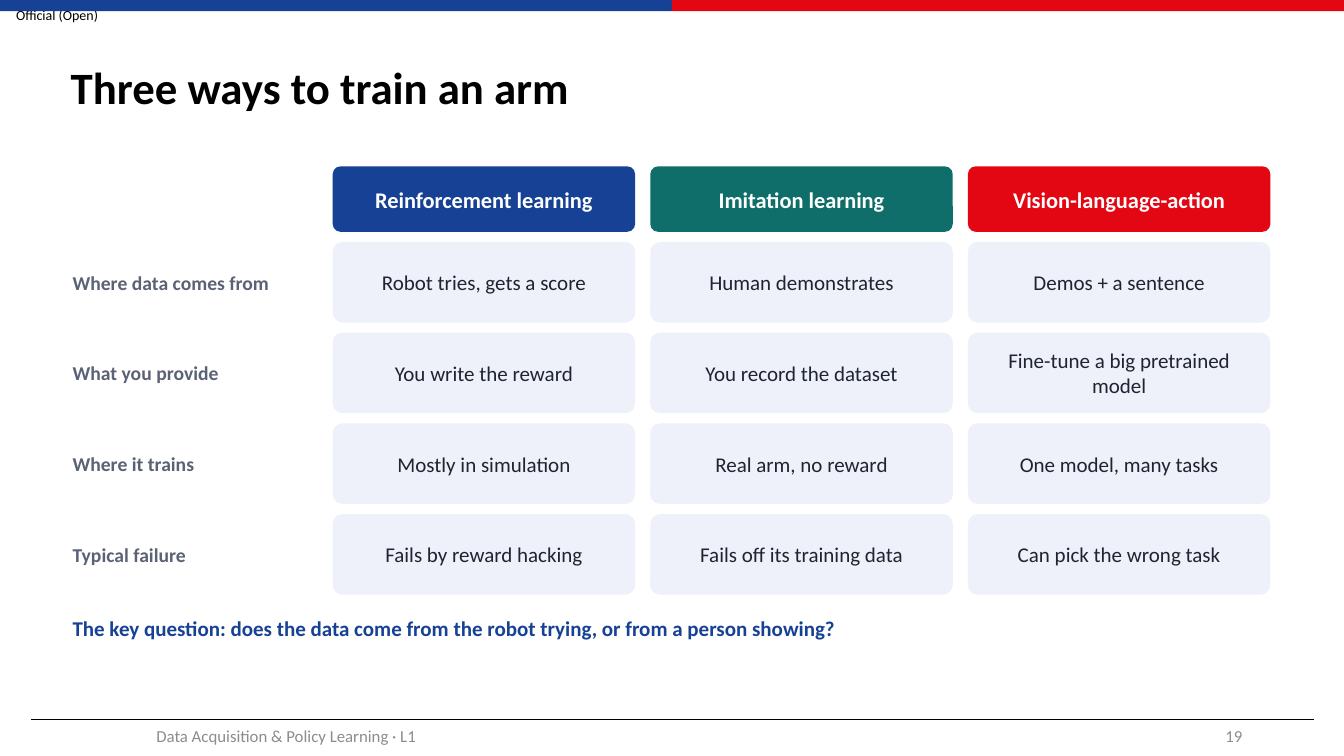
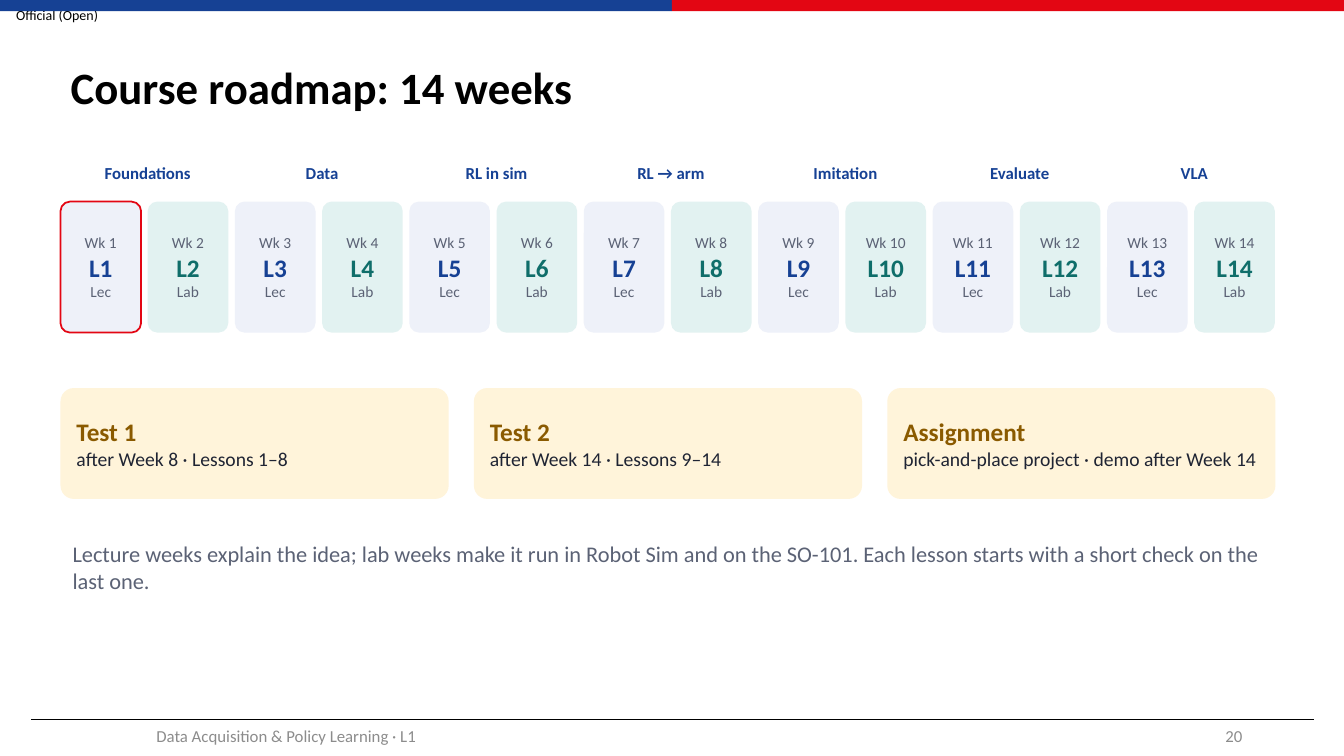
from lxml import etree
from pptx import Presentation
from pptx.dml.color import RGBColor
from pptx.enum.shapes import MSO_CONNECTOR, MSO_SHAPE
from pptx.enum.text import MSO_ANCHOR, MSO_AUTO_SIZE, PP_ALIGN
from pptx.oxml.ns import qn
from pptx.util import Inches, Pt

LEFT, MID, RIGHT = PP_ALIGN.LEFT, PP_ALIGN.CENTER, PP_ALIGN.RIGHT
TOP, CENTER = MSO_ANCHOR.TOP, MSO_ANCHOR.MIDDLE
RECT, ROUND = MSO_SHAPE.RECTANGLE, MSO_SHAPE.ROUNDED_RECTANGLE
STRAIGHT = MSO_CONNECTOR.STRAIGHT

# Shared look
FONT = "Calibri"
BLUE, RED, TEAL, GOLD = "164194", "E30613", "0F6E6A", "8A5A00"
INK, SLATE, GRAY, BLACK, WHITE = "1F2433", "5B6275", "8C8C8C", "000000", "FFFFFF"
PALE, MINT, CREAM = "EEF1F9", "E2F2F1", "FFF4DA"
WIDE, HIGH, EDGE = 13.33, 7.5, 0.6
INSET = (0.12, 0.06)

# Comparison: heading, colour, cells from top to bottom
ROWS = ["Where data comes from", "What you provide", "Where it trains",
        "Typical failure"]
WAYS = [
    ("Reinforcement learning", BLUE,
     ["Robot tries, gets a score", "You write the reward",
      "Mostly in simulation", "Fails by reward hacking"]),
    ("Imitation learning", TEAL,
     ["Human demonstrates", "You record the dataset",
      "Real arm, no reward", "Fails off its training data"]),
    ("Vision-language-action", RED,
     ["Demos + a sentence", "Fine-tune a big pretrained model",
      "One model, many tasks", "Can pick the wrong task"]),
]

# Roadmap: one theme for each pair of weeks
THEMES = ["Foundations", "Data", "RL in sim", "RL → arm", "Imitation",
          "Evaluate", "VLA"]
KINDS = [("Lec", PALE, BLUE), ("Lab", MINT, TEAL)]
TESTS = [
    ("Test 1", "after Week 8 · Lessons 1–8"),
    ("Test 2", "after Week 14 · Lessons 9–14"),
    ("Assignment", "pick-and-place project · demo after Week 14"),
]


def rgb(code):
    return RGBColor.from_string(code)


def write(frame, text, size=15, color=INK, bold=False, align=LEFT):
    """Add one paragraph to a text frame."""
    para = frame.paragraphs[0] if not frame.text else frame.add_paragraph()
    para.text, para.alignment = text, align
    font = para.font
    font.name, font.size, font.bold = FONT, Pt(size), bold
    font.color.rgb = rgb(color)
    return para


def set_up(frame, anchor, inset):
    frame.word_wrap = True
    frame.auto_size = MSO_AUTO_SIZE.NONE
    frame.vertical_anchor = anchor
    frame.margin_left = frame.margin_right = Inches(inset[0])
    frame.margin_top = frame.margin_bottom = Inches(inset[1])
    return frame


def place(x, y, w, h):
    return [Inches(v) for v in (x, y, w, h)]


def label(slide, text, x, y, w, h, anchor=TOP, inset=INSET, **style):
    area = slide.shapes.add_textbox(*place(x, y, w, h))
    write(set_up(area.text_frame, anchor, inset), text, **style)


def block(slide, x, y, w, h, fill, form=RECT, line=None):
    """Draw a filled shape and return its text frame."""
    shape = slide.shapes.add_shape(form, *place(x, y, w, h))
    shape.shadow.inherit = False
    shape.fill.solid()
    shape.fill.fore_color.rgb = rgb(fill)
    if line:
        shape.line.color.rgb = rgb(line)
        shape.line.width = Pt(1.25)
    else:
        shape.line.fill.background()
    if form == ROUND:
        shape.adjustments[0] = 0.12
    return set_up(shape.text_frame, CENTER, INSET)


def card(slide, x, y, w, h, fill, line=None):
    return block(slide, x, y, w, h, fill, ROUND, line)


def rule(slide, x, y, end):
    line = slide.shapes.add_connector(
        STRAIGHT, Inches(x), Inches(y), Inches(end), Inches(y))
    line.line.color.rgb = rgb(BLACK)
    line.line.width = Pt(0.5)
    etree.SubElement(line._element.spPr, qn("a:effectLst"))


def start(deck, title, page):
    """Add a slide with the shared band, title and footer."""
    slide = deck.slides.add_slide(deck.slide_layouts[5])
    label(slide, "Official (Open)", 0.16, 0, 1.13, 0.29, CENTER, (0, 0),
          size=10, color=BLACK)
    half = WIDE / 2
    for i, color in enumerate((BLUE, RED)):
        block(slide, i * half, 0, half, 0.11, color)
    rule(slide, 0.31, 7.14, 13.03)

    head = slide.shapes.title
    head.left, head.top, head.width, head.height = place(EDGE, 0.3, 12.08, 1.18)
    frame = set_up(head.text_frame, CENTER, (0.1, 0.05))
    write(frame, title, size=32, color=BLACK, bold=True).line_spacing = 0.9

    foot = dict(anchor=CENTER, inset=(0.1, 0.05), size=12, color=GRAY)
    label(slide, "Data Acquisition & Policy Learning · L1",
          0.59, 7.1, 4.5, 0.4, align=MID, **foot)
    label(slide, str(page), 9.42, 7.1, 3, 0.4, align=RIGHT, **foot)
    return slide


def compare(deck):
    slide = start(deck, "Three ways to train an arm", 19)
    tops = [2.4 + 0.9 * i for i in range(len(ROWS))]
    for y, text in zip(tops, ROWS):
        label(slide, text, EDGE, y, 2.6, 0.8, CENTER,
              size=14, color=SLATE, bold=True)

    for i, (name, color, cells) in enumerate(WAYS):
        x = 3.3 + 3.15 * i
        write(card(slide, x, 1.65, 3, 0.65, color), name,
              size=16, color=WHITE, bold=True, align=MID)
        for y, text in zip(tops, cells):
            write(card(slide, x, y, 3, 0.8, PALE), text, align=MID)

    label(slide, "The key question: does the data come from the robot trying, "
          "or from a person showing?", EDGE, 6.05, 12.1, 0.4,
          color=BLUE, bold=True)


def roadmap(deck):
    slide = start(deck, "Course roadmap: 14 weeks", 20)
    pair = 1.73

    # Weeks alternate between lecture and lab
    for i in range(2 * len(THEMES)):
        kind, fill, color = KINDS[i % 2]
        frame = card(slide, EDGE + i * pair / 2, 2, 0.8, 1.3, fill,
                     RED if i == 0 else None)
        small = dict(size=11, color=SLATE, align=MID)
        write(frame, f"Wk {i + 1}", **small)
        write(frame, f"L{i + 1}", size=18, color=color, bold=True, align=MID)
        write(frame, kind, **small)
    for i, theme in enumerate(THEMES):
        label(slide, theme, EDGE + i * pair, 1.55, pair, 0.4,
              size=12, color=BLUE, bold=True, align=MID)

    # Assessment cards
    for i, (name, note) in enumerate(TESTS):
        frame = card(slide, EDGE + 4.1 * i, 3.85, 3.85, 1.1, CREAM)
        frame.margin_left = frame.margin_right = Inches(INSET[0])
        write(frame, name, size=18, color=GOLD, bold=True)
        write(frame, note, size=14)

    label(slide, "Lecture weeks explain the idea; lab weeks make it run in "
          "Robot Sim and on the SO-101. Each lesson starts with a short check "
          "on the last one.", EDGE, 5.3, 12.1, 0.9, size=16, color=SLATE)


def main():
    deck = Presentation()
    deck.slide_width, deck.slide_height = Inches(WIDE), Inches(HIGH)
    compare(deck)
    roadmap(deck)
    deck.save("out.pptx")


if __name__ == "__main__":
    main()
